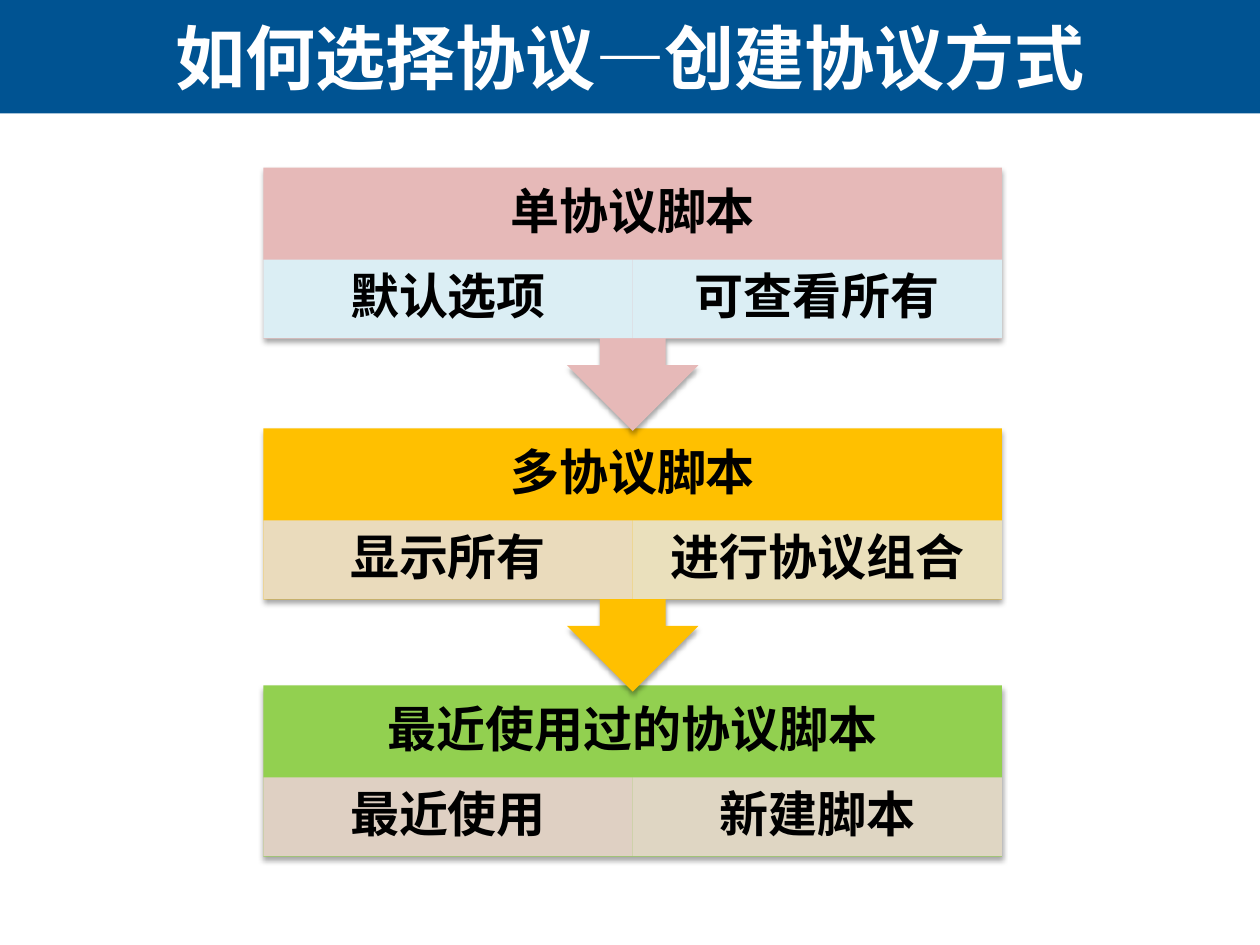
import pptx
import pptx.dml.color
import pptx.enum.shapes
import pptx.enum.text
import pptx.oxml
import pptx.oxml.ns
import pptx.util
from lxml import etree

Pt = pptx.util.Pt
qn = pptx.oxml.ns.qn
MSO_SHAPE = pptx.enum.shapes.MSO_SHAPE

COLORS = {
    "band": "005392", "white": "FFFFFF", "black": "000000",
    "pink": "E6B9B8", "orange": "FFC000", "green": "92D050",
    "ice": "DBEEF4", "sand": "E8DED1", "straw": "E8E4D1",
    "rose": "E8D0D0", "clay": "E8D7D0",
}
TITLE_FONT = "Arial"
BODY_FONT = "Noto Sans CJK SC"

STEP_LEFT, STEP_WIDTH = 150.5, 422
HEADER_HEIGHT, DETAIL_HEIGHT = 52.6, 44.9
CALLOUT_HEIGHT, LAST_HEIGHT = 150.4, 97.9

# Top, heading, fill, then (text, fill, opacity in percent) for each detail
STEPS = [
    (95.8, "单协议脚本", "pink",
     [("默认选项", "ice", 100), ("可查看所有", "ice", 100)]),
    (244.8, "多协议脚本", "orange",
     [("显示所有", "sand", 90), ("进行协议组合", "straw", 90)]),
    (391.7, "最近使用过的协议脚本", "green",
     [("最近使用", "rose", 90), ("新建脚本", "clay", 90)]),
]


def rgb(name):
    return pptx.dml.color.RGBColor.from_string(COLORS[name])


def add_filled_shape(slide, kind, box, color, opacity=100):
    shape = slide.shapes.add_shape(kind, *[Pt(length) for length in box])
    shape.shadow.inherit = False
    shape.line.fill.background()
    shape.fill.solid()
    shape.fill.fore_color.rgb = rgb(color)
    if opacity < 100:
        color_element = shape._element.spPr.find(".//" + qn("a:srgbClr"))
        etree.SubElement(color_element, qn("a:alpha"), val=str(opacity * 1000))
    return shape


def add_soft_shadow(shape):
    effects = shape._element.spPr.find(qn("a:effectLst"))
    shadow = etree.SubElement(
        effects, qn("a:outerShdw"), blurRad=str(Pt(3.1)), dist=str(Pt(1.8)),
        dir="5400000", rotWithShape="0")
    color_element = etree.SubElement(shadow, qn("a:srgbClr"), val=COLORS["black"])
    etree.SubElement(color_element, qn("a:alpha"), val="35000")


def format_paragraph(paragraph, font_name, size, color):
    paragraph.alignment = pptx.enum.text.PP_ALIGN.CENTER
    font = paragraph.font
    font.size = Pt(size)
    font.bold = True
    font.color.rgb = rgb(color)
    font.name = font_name


def add_label(slide, box, text, vertical_inset):
    label = slide.shapes.add_textbox(*[Pt(length) for length in box])
    frame = label.text_frame
    frame.word_wrap = True
    frame.vertical_anchor = pptx.enum.text.MSO_ANCHOR.MIDDLE
    frame.margin_left = frame.margin_right = Pt(16)
    frame.margin_top = frame.margin_bottom = Pt(vertical_inset)
    frame.text = text
    paragraph = frame.paragraphs[0]
    paragraph.line_spacing = 0.9
    format_paragraph(paragraph, BODY_FONT, 28, "black")
    # The East Asian typeface has no public setter
    etree.SubElement(paragraph.font._element if hasattr(paragraph.font, "_element")
                     else paragraph.font._rPr, qn("a:ea"), typeface=BODY_FONT)


def add_title_band(slide, box):
    band = add_filled_shape(slide, MSO_SHAPE.RECTANGLE, box, "band")
    slide.shapes._spTree.insert(2, band._element)  # behind the title
    title = slide.shapes.title
    title.left, title.top, title.width, title.height = [Pt(length) for length in box]
    title.text_frame.text = "如何选择协议—创建协议方式"
    title.text_frame.vertical_anchor = pptx.enum.text.MSO_ANCHOR.MIDDLE
    format_paragraph(title.text_frame.paragraphs[0], TITLE_FONT, 40, "white")


def add_step(slide, box, heading, color, details, has_arrow):
    """Place a heading over a row of details, with an arrow below if asked."""
    left, top, width, height = box
    kind = MSO_SHAPE.UP_ARROW_CALLOUT if has_arrow else MSO_SHAPE.RECTANGLE
    panel = add_filled_shape(slide, kind, box, color)
    panel.rotation = 180 if has_arrow else 0
    add_soft_shadow(panel)
    add_label(slide, (left, top, width, HEADER_HEIGHT), heading, 16)

    detail_width = width / len(details)
    for column, (text, detail_color, opacity) in enumerate(details):
        detail_box = (left + column * detail_width, top + HEADER_HEIGHT,
                      detail_width, DETAIL_HEIGHT)
        add_filled_shape(slide, MSO_SHAPE.RECTANGLE, detail_box, detail_color, opacity)
        add_label(slide, detail_box, text, 3)


def main():
    presentation = pptx.Presentation()
    presentation.slide_width, presentation.slide_height = Pt(720), Pt(540)
    slide = presentation.slides.add_slide(presentation.slide_layouts[5])
    add_title_band(slide, (0, 0, 720, 64.8))
    # Last step first, so that each arrow tip lies over the step below it
    for step in reversed(STEPS):
        top, heading, color, details = step
        has_arrow = step is not STEPS[-1]
        height = CALLOUT_HEIGHT if has_arrow else LAST_HEIGHT
        add_step(slide, (STEP_LEFT, top, STEP_WIDTH, height),
                 heading, color, details, has_arrow)
    presentation.save("out.pptx")


if __name__ == "__main__":
    main()
